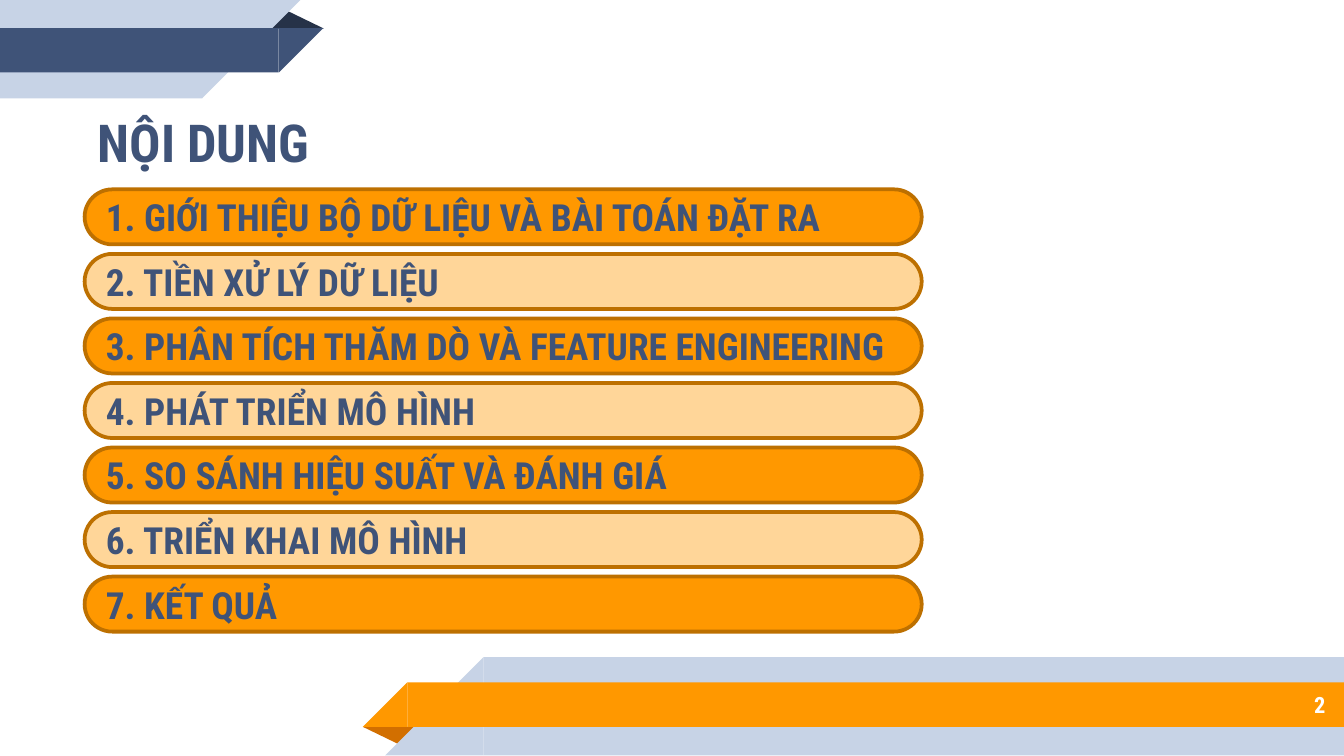
from dataclasses import dataclass

from pptx import Presentation
from pptx.dml.color import RGBColor
from pptx.enum.shapes import MSO_SHAPE
from pptx.enum.text import MSO_ANCHOR, MSO_AUTO_SIZE, PP_ALIGN
from pptx.util import Cm, Pt

COLORS = {
    "navy": "3F5378",
    "dark_navy": "263248",
    "pale_blue": "C7D3E6",
    "orange": "FF9800",
    "dark_orange": "D26F00",
    "pale_orange": "FFD699",
    "outline": "BD7000",
    "white": "FFFFFF",
}
FONT = "Roboto Condensed"
TOPICS = [
    "GIỚI THIỆU BỘ DỮ LIỆU VÀ BÀI TOÁN ĐẶT RA",
    "TIỀN XỬ LÝ DỮ LIỆU",
    "PHÂN TÍCH THĂM DÒ VÀ FEATURE ENGINEERING",
    "PHÁT TRIỂN MÔ HÌNH",
    "SO SÁNH HIỆU SUẤT VÀ ĐÁNH GIÁ",
    "TRIỂN KHAI MÔ HÌNH",
    "KẾT QUẢ",
]
MARGIN_LEFT = 1.6
TOPIC_TOP = 3.58
TOPIC_PITCH = 1.22
FOLD_SLANT = 0.32


@dataclass(frozen=True)
class RibbonPart:
    kind: MSO_SHAPE
    left: float
    top: float
    width: float
    height: float
    color: str
    rotation: int = 0
    flipped: bool = False


def ribbon_band(left: float, top: float, width: float, height: float,
                color: str, rotation: int) -> list[RibbonPart]:
    tip_left = left + width if rotation else left - height
    return [
        RibbonPart(MSO_SHAPE.RECTANGLE, left, top, width, height, color, rotation, True),
        RibbonPart(MSO_SHAPE.RIGHT_TRIANGLE, tip_left, top, height, height,
                   color, rotation, True),
    ]


RIBBONS = [
    RibbonPart(MSO_SHAPE.ISOSCELES_TRIANGLE, 6.86, 13.74, 1.09, 0.36, "dark_orange", 180),
    *ribbon_band(9.14, 12.42, 16.26, 1.86, "pale_blue", 0),
    *ribbon_band(7.7, 12.9, 17.7, 0.84, "orange", 0),
    RibbonPart(MSO_SHAPE.ISOSCELES_TRIANGLE, 5.03, 0.18, 1.09, 0.36, "dark_navy"),
    *ribbon_band(0, 0, 3.82, 1.86, "pale_blue", 180),
    *ribbon_band(0, 0.53, 5.27, 0.84, "navy", 180),
]


def rgb(name: str) -> RGBColor:
    return RGBColor.from_string(COLORS[name])


def draw_ribbon_part(slide, part: RibbonPart) -> None:
    shape = slide.shapes.add_shape(
        part.kind, Cm(part.left), Cm(part.top), Cm(part.width), Cm(part.height))
    shape.shadow.inherit = False
    shape.fill.solid()
    shape.fill.fore_color.rgb = rgb(part.color)
    shape.line.fill.background()
    shape.rotation = part.rotation
    if part.flipped:
        shape._element.spPr.xfrm.set("flipH", "1")
    if part.kind == MSO_SHAPE.ISOSCELES_TRIANGLE:
        shape.adjustments[0] = FOLD_SLANT


def write_text(shape, text: str, size: int, color: str,
               align: PP_ALIGN = PP_ALIGN.LEFT) -> None:
    paragraph = shape.text_frame.paragraphs[0]
    paragraph.alignment = align
    run = paragraph.add_run()
    run.text = text
    run.font.name = FONT
    run.font.size = Pt(size)
    run.font.bold = True
    run.font.color.rgb = rgb(color)


def draw_topic(slide, index: int, topic: str) -> None:
    pill = slide.shapes.add_shape(
        MSO_SHAPE.ROUNDED_RECTANGLE, Cm(MARGIN_LEFT),
        Cm(TOPIC_TOP + index * TOPIC_PITCH), Cm(15.82), Cm(1.04))
    pill.adjustments[0] = 0.5
    pill.shadow.inherit = False
    pill.fill.solid()
    pill.fill.fore_color.rgb = rgb("pale_orange" if index % 2 else "orange")
    pill.line.color.rgb = rgb("outline")
    pill.line.width = Pt(2)
    pill.text_frame.vertical_anchor = MSO_ANCHOR.MIDDLE
    pill.text_frame.word_wrap = True
    write_text(pill, f"{index + 1}. {topic}", 20, "navy")


def draw_heading(slide) -> None:
    heading = slide.shapes.add_textbox(Cm(MARGIN_LEFT), Cm(1.96), Cm(10.13), Cm(1.45))
    heading.text_frame.word_wrap = True
    heading.text_frame.auto_size = MSO_AUTO_SIZE.SHAPE_TO_FIT_TEXT
    write_text(heading, "NỘI DUNG", 28, "navy")


def draw_page_number(slide) -> None:
    page_number = slide.shapes.add_textbox(Cm(21.16), Cm(12.88), Cm(4.14), Cm(0.89))
    frame = page_number.text_frame
    frame.word_wrap = True
    frame.vertical_anchor = MSO_ANCHOR.MIDDLE
    frame.margin_top = frame.margin_bottom = Cm(0.25)
    write_text(page_number, "2", 12, "white", PP_ALIGN.RIGHT)


def main() -> None:
    deck = Presentation()
    deck.slide_width = Cm(25.4)
    deck.slide_height = Cm(14.29)
    slide = deck.slides.add_slide(deck.slide_layouts[6])
    for part in RIBBONS:
        draw_ribbon_part(slide, part)
    draw_page_number(slide)
    draw_heading(slide)
    for index, topic in enumerate(TOPICS):
        draw_topic(slide, index, topic)
    deck.save("out.pptx")


if __name__ == "__main__":
    main()
